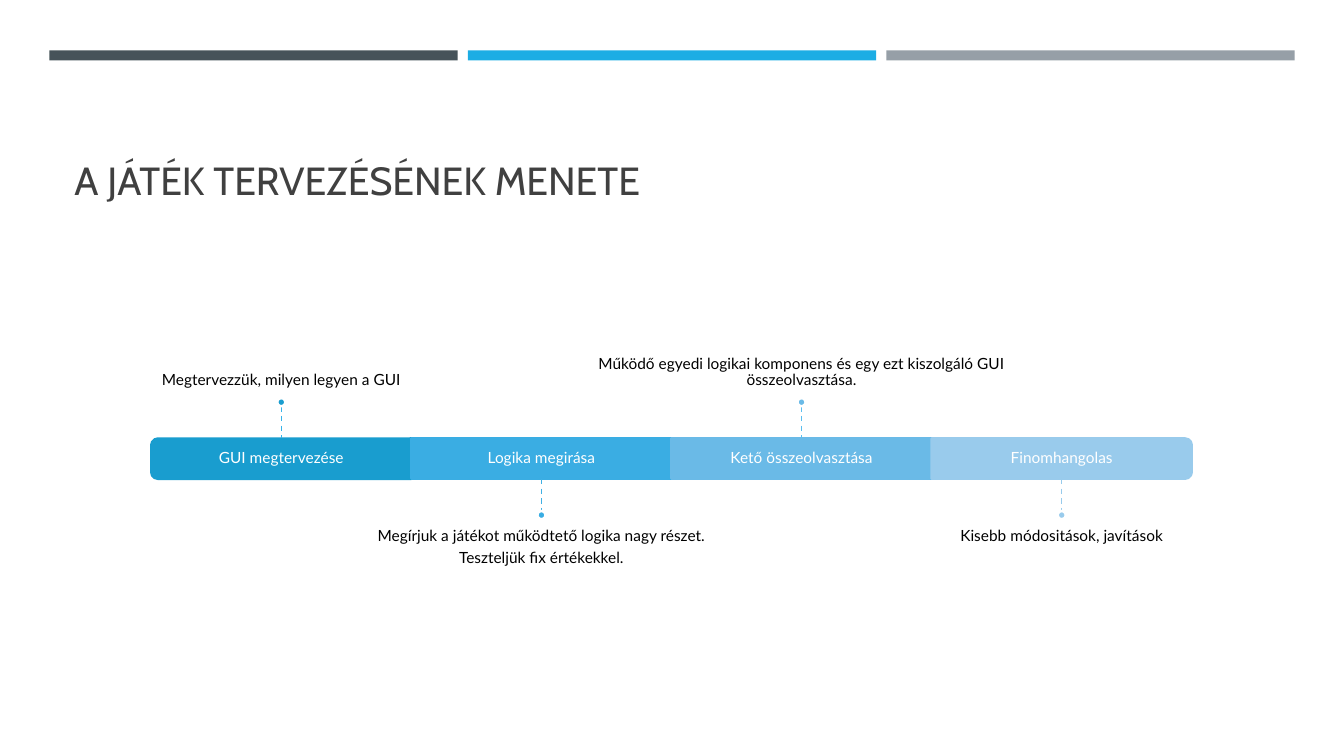
from dataclasses import dataclass

from lxml.etree import SubElement
from pptx import Presentation
from pptx.dml.color import RGBColor
from pptx.enum.dml import MSO_LINE
from pptx.enum.shapes import MSO_CONNECTOR, MSO_SHAPE
from pptx.enum.text import MSO_ANCHOR, PP_ALIGN
from pptx.oxml.ns import qn
from pptx.util import Inches, Pt


@dataclass(frozen=True)
class Theme:
    title_font: str = "Cabin"
    body_font: str = "Lato"
    title_size: float = 28
    body_size: float = 11
    outline: float = 1.75
    title_color: str = "404040"
    text_color: str = "000000"
    white: str = "FFFFFF"
    header_colors: tuple = ("465359", "1CADE4", "969FA7")


THEME = Theme()

BAND_LEFT, BAND_TOP = 1.5, 4.35
STEP_WIDTH, BAND_HEIGHT = 2.58, 0.4
NOTE_WIDTH, NOTE_HEIGHT = 4.31, 1.39
STEM_LENGTH, DOT_SIZE = 0.32, 0.08
INSET = 0.09

# Step name, step color, stem color, note paragraphs
STEPS = [
    ("GUI megtervezése", "199DCF", "36B3E9", ["Megtervezzük, milyen legyen a GUI"]),
    ("Logika megirása", "3AADE3", "40B0E4",
     ["Megírjuk a játékot működtető logika nagy részet.", "Teszteljük fix értékekkel."]),
    ("Kető összeolvasztása", "6ABAE7", "5ABEEF",
     ["Működő egyedi logikai komponens és egy ezt kiszolgáló GUI összeolvasztása."]),
    ("Finomhangolas", "99CBEC", "98CBEC", ["Kisebb módositások, javítások"]),
]


def color(value):
    return RGBColor.from_string(value)


def add_filled_shape(slide, kind, left, top, width, height, fill, outline=None):
    shape = slide.shapes.add_shape(
        kind, Inches(left), Inches(top), Inches(width), Inches(height))
    shape.shadow.inherit = False
    shape.fill.solid()
    shape.fill.fore_color.rgb = color(fill)
    if outline:
        shape.line.color.rgb = color(outline)
        shape.line.width = Pt(THEME.outline)
    else:
        shape.line.fill.background()
    return shape


def add_text(slide, box, lines, font_color, anchor, insets):
    """Add centred body text; insets run left, top, right, bottom."""
    text_box = slide.shapes.add_textbox(*(Inches(value) for value in box))
    frame = text_box.text_frame
    frame.word_wrap = True
    frame.vertical_anchor = anchor
    (frame.margin_left, frame.margin_top,
     frame.margin_right, frame.margin_bottom) = (Inches(value) for value in insets)
    frame.text = "\n".join(lines)
    for paragraph in frame.paragraphs:
        paragraph.alignment = PP_ALIGN.CENTER
        paragraph.line_spacing = 0.9
        paragraph.space_after = Pt(0.35 * THEME.body_size)
        paragraph.font.name = THEME.body_font
        paragraph.font.size = Pt(THEME.body_size)
        paragraph.font.color.rgb = color(font_color)
    return frame


def add_header(slide):
    for index, fill in enumerate(THEME.header_colors):
        add_filled_shape(slide, MSO_SHAPE.RECTANGLE,
                         0.49 + index * 4.15, 0.5, 4.05, 0.1, fill)


def add_title(slide, text):
    frame = add_text(slide, (0.64, 0.77, 12.06, 1.3), [text], THEME.title_color,
                     MSO_ANCHOR.BOTTOM, (0.1, 0.05, 0.1, 0.05))
    paragraph = frame.paragraphs[0]
    paragraph.alignment = PP_ALIGN.LEFT
    paragraph.space_after = Pt(0)
    paragraph.font.name = THEME.title_font
    paragraph.font.size = Pt(THEME.title_size)


def add_step(slide, index, name, fill):
    left = BAND_LEFT + index * STEP_WIDTH
    end_rotations = {0: 270, len(STEPS) - 1: 90}
    if index in end_rotations:
        # The rounded ends are upright shapes turned about their centre
        offset = (STEP_WIDTH - BAND_HEIGHT) / 2
        shape = add_filled_shape(slide, MSO_SHAPE.ROUND_2_SAME_RECTANGLE,
                                 left + offset, BAND_TOP - offset,
                                 BAND_HEIGHT, STEP_WIDTH, fill, fill)
        shape.rotation = end_rotations[index]
    else:
        add_filled_shape(slide, MSO_SHAPE.RECTANGLE, left, BAND_TOP,
                         STEP_WIDTH, BAND_HEIGHT, fill, fill)
    add_text(slide, (left, BAND_TOP, STEP_WIDTH, BAND_HEIGHT), [name],
             THEME.white, MSO_ANCHOR.MIDDLE, (INSET,) * 4)


def add_stem(slide, center, start, end, line_color):
    stem = slide.shapes.add_connector(
        MSO_CONNECTOR.STRAIGHT, Inches(center), Inches(start), Inches(center), Inches(end))
    stem.line.color.rgb = color(line_color)
    stem.line.width = Pt(1)
    stem.line.dash_style = MSO_LINE.DASH
    SubElement(stem._element.spPr, qn("a:effectLst"))


def add_note(slide, index, lines, dot_color, stem_color):
    """Add a note with its dot and stem, above and below the band by turns."""
    center = BAND_LEFT + (index + 0.5) * STEP_WIDTH
    if index % 2 == 0:
        start, end = BAND_TOP - STEM_LENGTH, BAND_TOP
        dot_top = start - DOT_SIZE
        note_top = dot_top - NOTE_HEIGHT
        anchor, insets = MSO_ANCHOR.BOTTOM, (0, 0, 0, INSET)
    else:
        start = BAND_TOP + BAND_HEIGHT
        end = dot_top = start + STEM_LENGTH
        note_top = dot_top + DOT_SIZE
        anchor, insets = MSO_ANCHOR.TOP, (0, INSET, 0, 0)
    add_text(slide, (center - NOTE_WIDTH / 2, note_top, NOTE_WIDTH, NOTE_HEIGHT),
             lines, THEME.text_color, anchor, insets)
    add_stem(slide, center, start, end, stem_color)
    add_filled_shape(slide, MSO_SHAPE.OVAL, center - DOT_SIZE / 2, dot_top,
                     DOT_SIZE, DOT_SIZE, dot_color, THEME.white)


def main():
    presentation = Presentation()
    presentation.slide_width = Inches(13.33)
    presentation.slide_height = Inches(7.5)
    slide = presentation.slides.add_slide(presentation.slide_layouts[6])
    add_header(slide)
    add_title(slide, "A JÁTÉK TERVEZÉSÉNEK MENETE")
    for index, (name, fill, stem_color, lines) in enumerate(STEPS):
        add_step(slide, index, name, fill)
        add_note(slide, index, lines, fill, stem_color)
    presentation.save("out.pptx")


if __name__ == "__main__":
    main()
